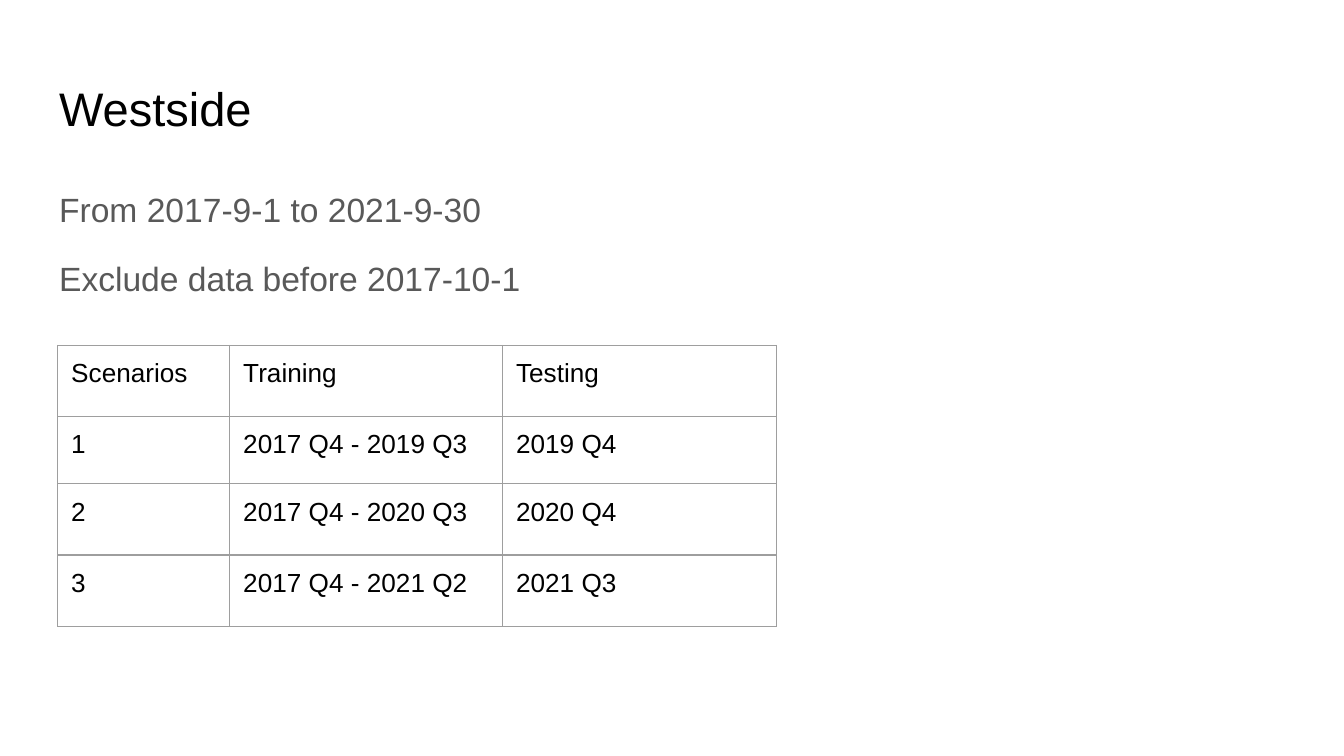
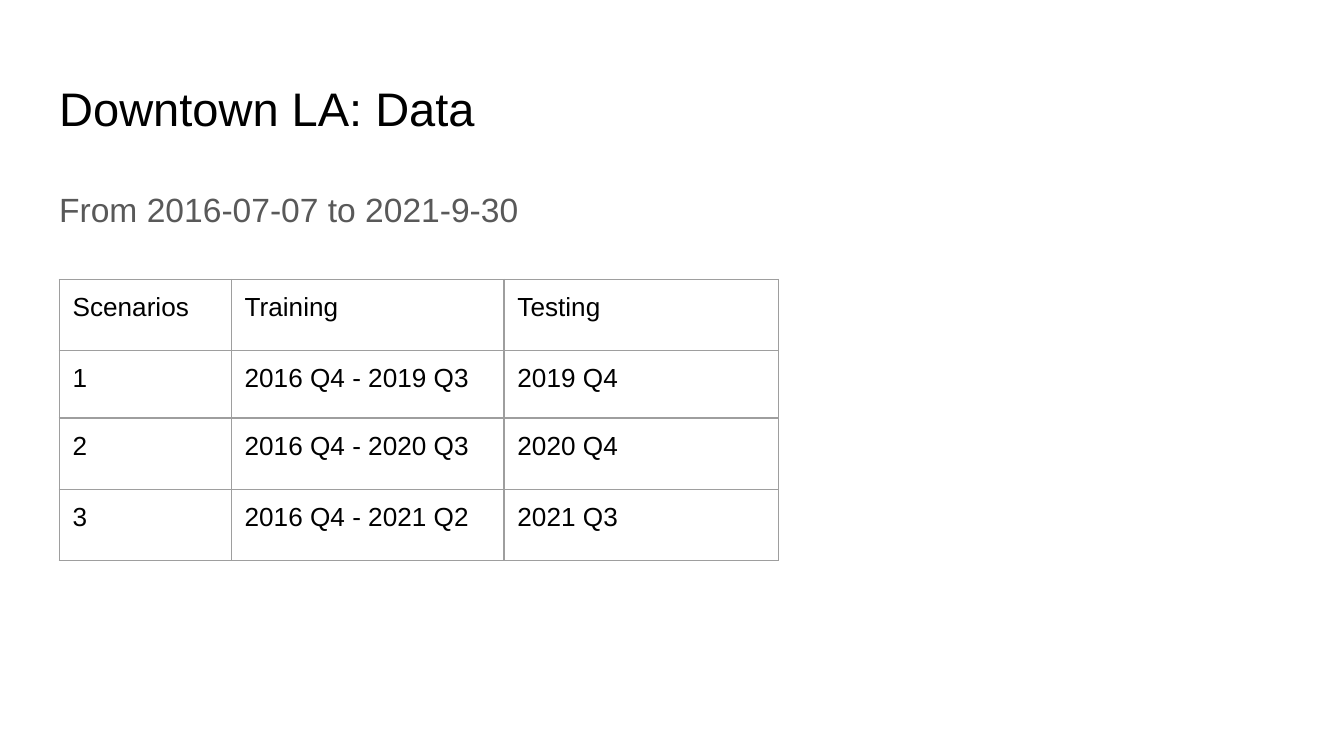
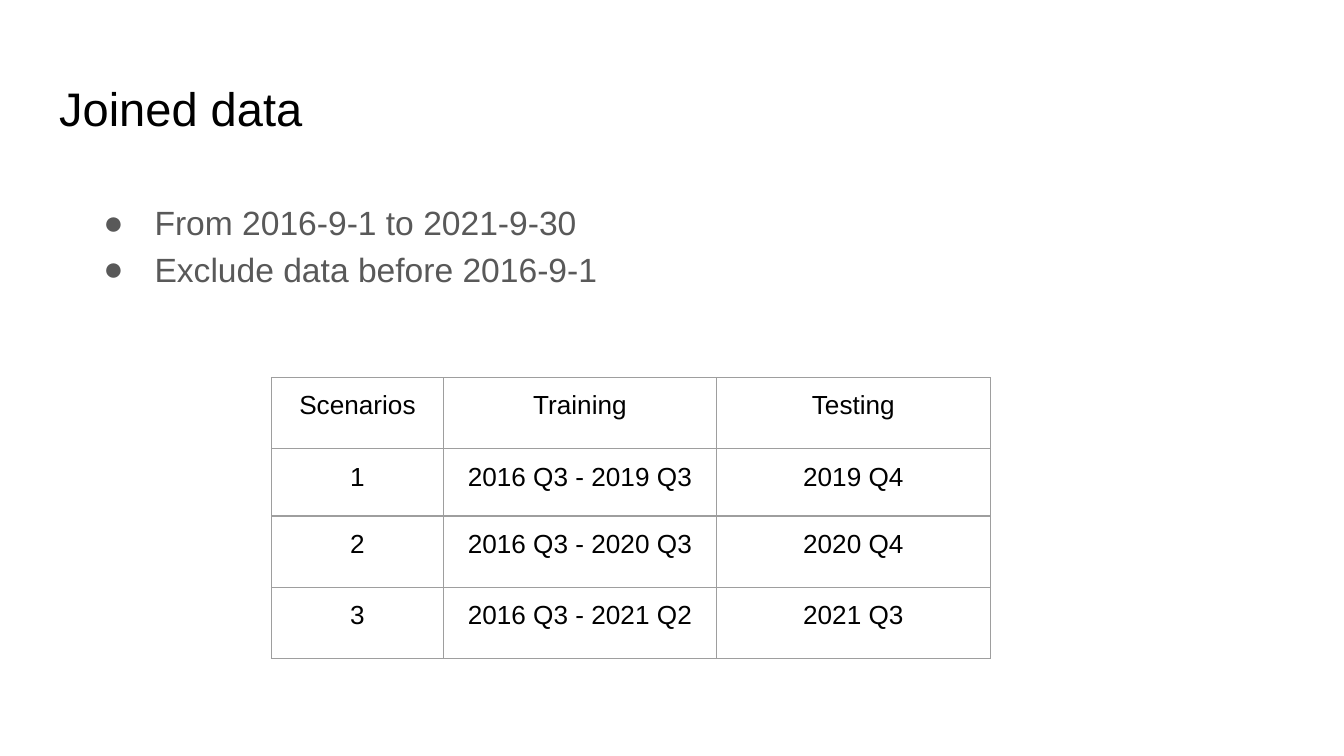
import lxml.etree
import pptx
import pptx.dml.color
import pptx.enum.text
import pptx.oxml.ns
import pptx.util

Inches = pptx.util.Inches
Pt = pptx.util.Pt
Align = pptx.enum.text.PP_ALIGN
Anchor = pptx.enum.text.MSO_ANCHOR
qn = pptx.oxml.ns.qn

WHITE = pptx.dml.color.RGBColor(0xFF, 0xFF, 0xFF)
BLACK = pptx.dml.color.RGBColor(0x00, 0x00, 0x00)
GREY = pptx.dml.color.RGBColor(0x59, 0x59, 0x59)
BORDER = pptx.dml.color.RGBColor(0x9E, 0x9E, 0x9E)

FONT = "Arial"
INSET = Inches(0.1)
SLIDE_WIDTH = Inches(10)
SLIDE_HEIGHT = SLIDE_WIDTH * 9 // 16
TITLE_BOX = (0.34, 0.49, 9.32, 0.63)
BODY_BOX = (0.34, 1.26, 9.32, 3.74)
LIST_BOX = (0.55, 1.36, 9.32, 3.74)
COLUMN_WIDTHS = (1.28, 2.03, 2.04)
ROW_HEIGHTS = (0.53, 0.5, 0.53, 0.53)
HEADINGS = ("Scenarios", "Training", "Testing")
TRAINING_ENDS = ("2019 Q3", "2020 Q3", "2021 Q2")
TESTING_QUARTERS = ("2019 Q4", "2020 Q4", "2021 Q3")


def style_font(paragraph, size, color):
    """Format every run of a paragraph."""
    for run in paragraph.runs:
        run.font.name = FONT
        run.font.size = Pt(size)
        run.font.bold = False
        run.font.color.rgb = color


def set_margins(target):
    """Give a text frame or table cell equal insets."""
    target.margin_left = target.margin_right = INSET
    target.margin_top = target.margin_bottom = INSET


def fill_placeholder(shape, box, lines, anchor):
    """Place a placeholder in its box and return its filled text frame."""
    shape.left, shape.top, shape.width, shape.height = map(Inches, box)
    frame = shape.text_frame
    frame.text = "\n".join(lines)
    frame.word_wrap = True
    frame.auto_size = pptx.enum.text.MSO_AUTO_SIZE.NONE
    frame.vertical_anchor = anchor
    set_margins(frame)
    return frame


def add_title(slide, text):
    """Fill the slide title."""
    frame = fill_placeholder(slide.shapes.title, TITLE_BOX, [text], Anchor.MIDDLE)
    paragraph = frame.paragraphs[0]
    paragraph.alignment = Align.LEFT
    paragraph.line_spacing = 1.0
    style_font(paragraph, 25.2, BLACK)


def set_bullet(paragraph, bulleted):
    """Give a paragraph a round bullet with a hanging indent, or neither."""
    properties = paragraph._p.get_or_add_pPr()
    properties.set("marL", str(Inches(0.5) if bulleted else 0))
    properties.set("indent", str(Inches(-0.38) if bulleted else 0))
    if bulleted:
        color = lxml.etree.SubElement(properties, qn("a:buClr"))
        lxml.etree.SubElement(color, qn("a:srgbClr"), val=str(GREY))
        lxml.etree.SubElement(properties, qn("a:buFont"), typeface=FONT)
        lxml.etree.SubElement(properties, qn("a:buChar"), char="●")
    else:
        lxml.etree.SubElement(properties, qn("a:buNone"))


def add_body(slide, box, lines, bulleted):
    """Fill the body with a list or with spaced plain lines."""
    frame = fill_placeholder(slide.placeholders[1], box, lines, Anchor.TOP)
    for index, paragraph in enumerate(frame.paragraphs):
        set_bullet(paragraph, bulleted)
        paragraph.line_spacing = 1.15
        paragraph.space_before = Pt(12 if index and not bulleted else 0)
        paragraph.space_after = Pt(0)
        style_font(paragraph, 18, GREY)


def set_borders(cell):
    """Draw a thin line on each side of a cell."""
    properties = cell._tc.get_or_add_tcPr()
    for side in ("a:lnL", "a:lnR", "a:lnT", "a:lnB"):
        line = lxml.etree.SubElement(properties, qn(side), w=str(Pt(0.75)))
        fill = lxml.etree.SubElement(line, qn("a:solidFill"))
        lxml.etree.SubElement(fill, qn("a:srgbClr"), val=str(BORDER))


def add_scenarios(slide, left, top, first_quarter, alignment):
    """Add the table of training and testing periods."""
    periods = zip(TRAINING_ENDS, TESTING_QUARTERS)
    rows = [HEADINGS] + [
        (str(number), f"{first_quarter} - {end}", testing)
        for number, (end, testing) in enumerate(periods, 1)
    ]
    table = slide.shapes.add_table(
        len(rows), len(HEADINGS), Inches(left), Inches(top),
        Inches(sum(COLUMN_WIDTHS)), Inches(sum(ROW_HEIGHTS)),
    ).table
    table.first_row = table.horz_banding = False
    for column, width in zip(table.columns, COLUMN_WIDTHS):
        column.width = Inches(width)
    for row, height, values in zip(table.rows, ROW_HEIGHTS, rows):
        row.height = Inches(height)
        for cell, value in zip(row.cells, values):
            cell.text_frame.text = value
            set_margins(cell)
            set_borders(cell)
            cell.fill.background()
            paragraph = cell.text_frame.paragraphs[0]
            paragraph.alignment = alignment
            style_font(paragraph, 14, BLACK)


def add_data_slide(presentation, title, lines, table_at, first_quarter,
                   body_box=BODY_BOX, bulleted=False, alignment=Align.LEFT):
    """Add a slide with a title, date notes and a scenario table."""
    slide = presentation.slides.add_slide(presentation.slide_layouts[1])
    slide.background.fill.solid()
    slide.background.fill.fore_color.rgb = WHITE
    add_title(slide, title)
    add_body(slide, body_box, lines, bulleted)
    add_scenarios(slide, *table_at, first_quarter, alignment)


def main():
    """Build and save the presentation."""
    presentation = pptx.Presentation()
    presentation.slide_width = SLIDE_WIDTH
    presentation.slide_height = SLIDE_HEIGHT
    add_data_slide(
        presentation, "Westside",
        ["From 2017-9-1 to 2021-9-30", "Exclude data before 2017-10-1"],
        (0.43, 2.57), "2017 Q4",
    )
    add_data_slide(
        presentation, "Downtown LA: Data", ["From 2016-07-07 to 2021-9-30"],
        (0.44, 2.08), "2016 Q4",
    )
    add_data_slide(
        presentation, "Joined data",
        ["From 2016-9-1 to 2021-9-30", "Exclude data before 2016-9-1"],
        (2.02, 2.81), "2016 Q3",
        body_box=LIST_BOX, bulleted=True, alignment=Align.CENTER,
    )
    presentation.save("out.pptx")


if __name__ == "__main__":
    main()
